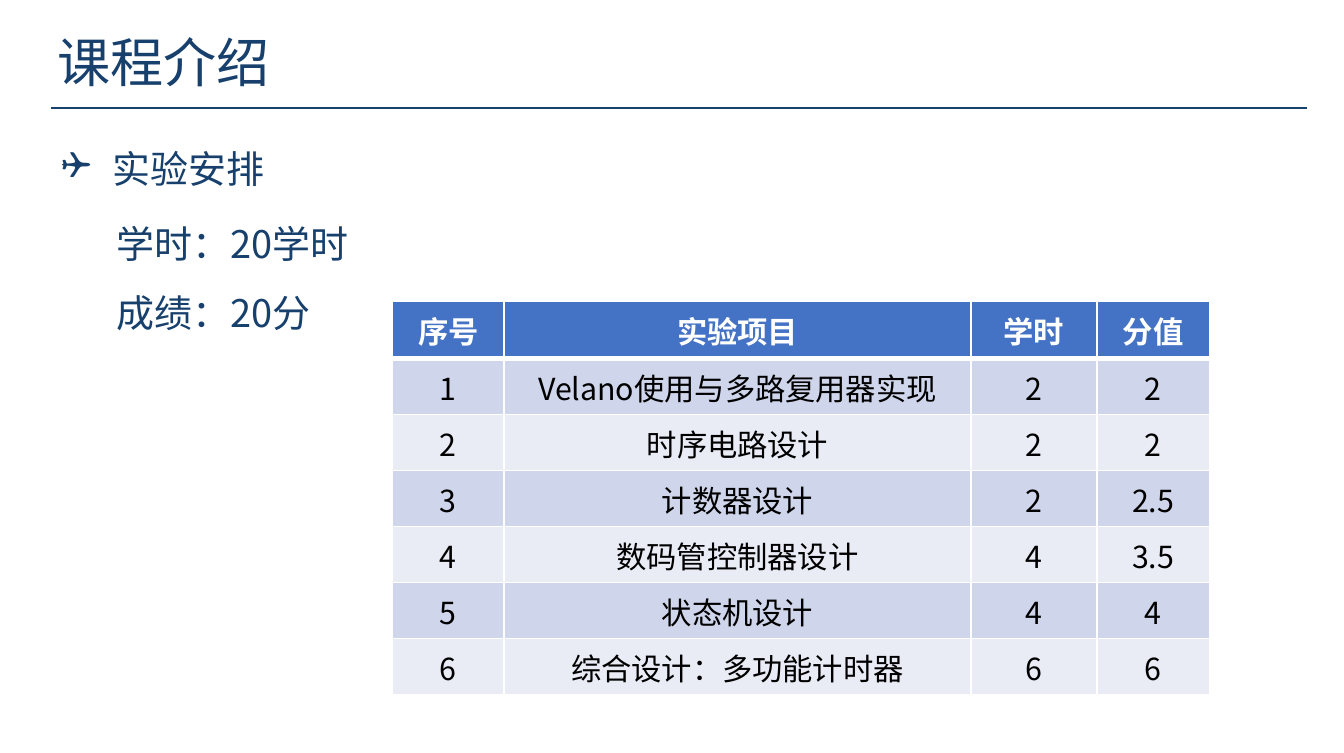
import pptx
import pptx.dml.color
import pptx.enum.shapes
import pptx.enum.text
import pptx.oxml
import pptx.oxml.ns
import pptx.util
from pptx.dml.color import RGBColor
from pptx.util import Cm

NAVY = RGBColor(0x17, 0x40, 0x6D)
BLUE = RGBColor(0x44, 0x72, 0xC4)
LIGHT_BLUE = RGBColor(0xCF, 0xD5, 0xEA)
PALE_BLUE = RGBColor(0xE9, 0xEB, 0xF5)
WHITE = RGBColor(0xFF, 0xFF, 0xFF)
BLACK = RGBColor(0x00, 0x00, 0x00)
FONT = "Noto Sans CJK SC"

COLUMN_WIDTHS = [2.08, 8.68, 2.34, 2.1]
HEADER_HEIGHT = 1.07
ROW_HEIGHT = 1.04
EXPERIMENTS = [
    ("序号", "实验项目", "学时", "分值"),
    ("1", "Velano使用与多路复用器实现", "2", "2"),
    ("2", "时序电路设计", "2", "2"),
    ("3", "计数器设计", "2", "2.5"),
    ("4", "数码管控制器设计", "4", "3.5"),
    ("5", "状态机设计", "4", "4"),
    ("6", "综合设计：多功能计时器", "6", "6"),
]


def add_element(parent, tag, **attributes):
    element = pptx.oxml.ns.qn(tag)
    child = parent.makeelement(element, attributes)
    parent.append(child)
    return child


def format_text(text_frame, size, color, bold=False, alignment=None, line_spacing=1.0):
    for paragraph in text_frame.paragraphs:
        paragraph.alignment = alignment
        paragraph.line_spacing = line_spacing
        for run in paragraph.runs:
            run.font.size = pptx.util.Pt(size)
            run.font.bold = bold
            run.font.color.rgb = color
            run.font.name = FONT
            add_element(run.font._element, "a:ea", typeface=FONT)


def place_title(slide, left, top, width, height):
    title = slide.shapes.title
    title.left, title.top, title.width, title.height = Cm(left), Cm(top), Cm(width), Cm(height)
    title.text_frame.text = "课程介绍"
    title.text_frame.vertical_anchor = pptx.enum.text.MSO_ANCHOR.TOP
    format_text(title.text_frame, 28, NAVY, alignment=pptx.enum.text.PP_ALIGN.LEFT)


def add_title_rule(slide, left, top, width):
    rule = slide.shapes.add_connector(
        pptx.enum.shapes.MSO_CONNECTOR.STRAIGHT, Cm(left), Cm(top), Cm(left + width), Cm(top)
    )
    rule.line.color.rgb = NAVY
    rule.line.width = pptx.util.Pt(1)
    add_element(rule._element.spPr, "a:effectLst")


def add_body_text(slide, text, left, top, width, height):
    box = slide.shapes.add_textbox(Cm(left), Cm(top), Cm(width), Cm(height))
    box.text_frame.word_wrap = True
    box.text_frame.text = text
    format_text(box.text_frame, 20, NAVY, line_spacing=1.5)
    return box.text_frame


def add_arrangement(slide, left, top):
    heading = add_body_text(slide, "实验安排", left, top, 17.4, 1.4)
    properties = heading.paragraphs[0]._p.get_or_add_pPr()
    properties.set("marL", str(Cm(0.95)))
    properties.set("indent", str(-Cm(0.95)))
    add_element(properties, "a:buFont", typeface="Wingdings")
    add_element(properties, "a:buChar", char="❑")
    add_body_text(slide, "学时：20学时\n成绩：20分", left + 1.02, top + 1.4, 5.6, 2.67)


def set_borders(cell, top_width, bottom_width):
    properties = cell._tc.get_or_add_tcPr()
    for side, width in (("L", 1), ("R", 1), ("T", top_width), ("B", bottom_width)):
        border = add_element(properties, f"a:ln{side}", w=str(pptx.util.Pt(width)))
        fill = add_element(border, "a:solidFill")
        add_element(fill, "a:srgbClr", val=str(WHITE))


def add_experiment_table(slide, left, top):
    height = HEADER_HEIGHT + ROW_HEIGHT * (len(EXPERIMENTS) - 1)
    table = slide.shapes.add_table(
        len(EXPERIMENTS), len(COLUMN_WIDTHS), Cm(left), Cm(top), Cm(sum(COLUMN_WIDTHS)), Cm(height)
    ).table
    for column, width in zip(table.columns, COLUMN_WIDTHS):
        column.width = Cm(width)
    for row_index, values in enumerate(EXPERIMENTS):
        is_header = row_index == 0
        table.rows[row_index].height = Cm(HEADER_HEIGHT if is_header else ROW_HEIGHT)
        band = LIGHT_BLUE if row_index % 2 else PALE_BLUE
        for column_index, value in enumerate(values):
            cell = table.cell(row_index, column_index)
            cell.text_frame.text = value
            cell.vertical_anchor = pptx.enum.text.MSO_ANCHOR.MIDDLE
            format_text(
                cell.text_frame, 16, WHITE if is_header else BLACK, is_header,
                pptx.enum.text.PP_ALIGN.CENTER,
            )
            set_borders(cell, 3 if row_index == 1 else 1, 3 if is_header else 1)
            cell.fill.solid()
            cell.fill.fore_color.rgb = BLUE if is_header else band


def main():
    presentation = pptx.Presentation()
    presentation.slide_width = Cm(25)
    presentation.slide_height = Cm(14)
    slide = presentation.slides.add_slide(presentation.slide_layouts[5])
    place_title(slide, 0.81, 0.41, 5.9, 1.45)
    add_title_rule(slide, 0.95, 2, 23.36)
    add_arrangement(slide, 0.89, 2.16)
    add_experiment_table(slide, 7.3, 5.6)
    presentation.save("out.pptx")


if __name__ == "__main__":
    main()
